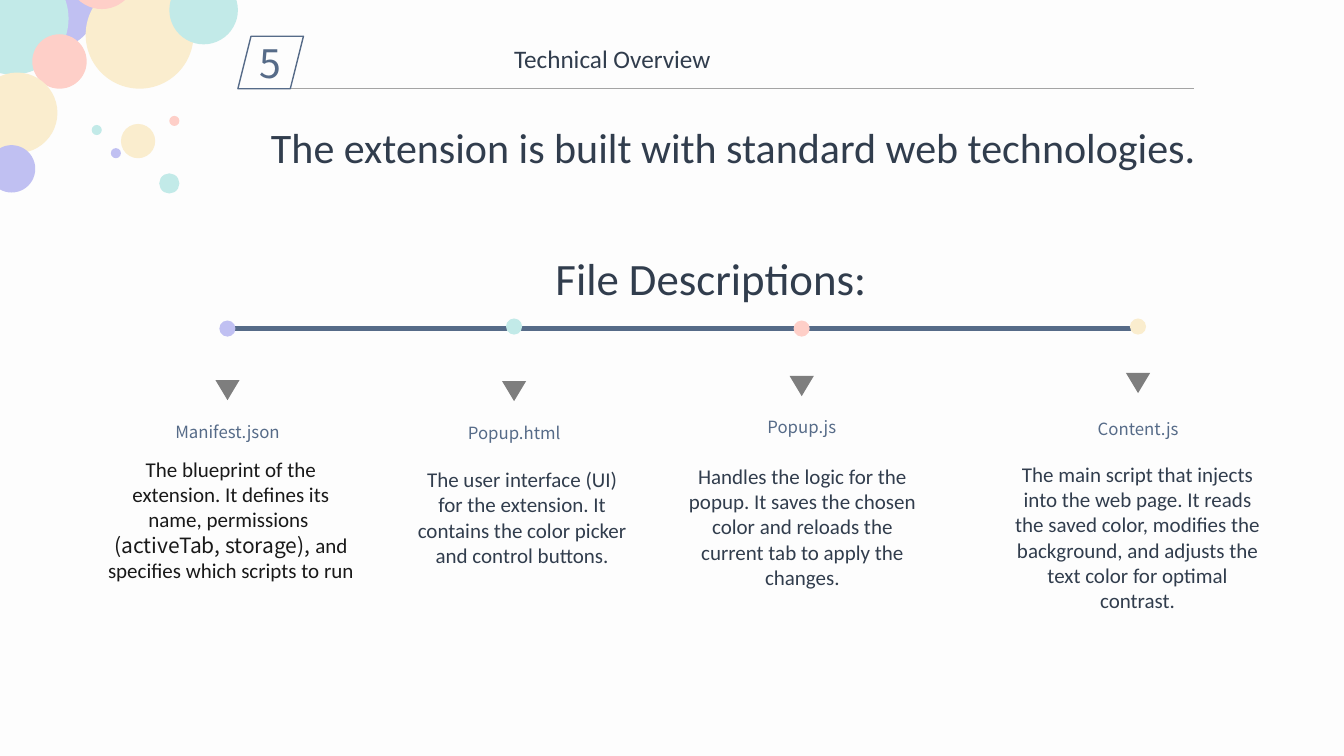
from dataclasses import dataclass

from lxml.etree import SubElement
from pptx import Presentation
from pptx.dml.color import RGBColor
from pptx.enum.shapes import MSO_CONNECTOR, MSO_SHAPE
from pptx.enum.text import MSO_ANCHOR, PP_ALIGN
from pptx.oxml.ns import qn
from pptx.util import Inches, Pt


@dataclass(frozen=True)
class Theme:
    paper: str = "FDFDFD"
    ink: str = "313D4D"
    black: str = "191919"
    slate: str = "566B88"
    rule: str = "A4A4A4"
    arrow: str = "7E7E7E"
    lilac: str = "C0C0F2"
    mint: str = "C2EAE8"
    coral: str = "FECFC8"
    cream: str = "FAEDCE"
    body_font: str = "Calibri"
    label_font: str = "Noto Sans CJK KR"
    label: int = 12
    body: int = 15
    section: int = 18
    number: int = 28
    headline: int = 30
    heading: int = 32


THEME = Theme()
COLUMNS, ROWS = 40, 22.5  # square grid cells
WIDTH, HEIGHT = Inches(13.33), Inches(7.5)


def write(frame, paragraphs, *, size, color=THEME.ink, font=THEME.body_font,
          anchor=MSO_ANCHOR.TOP, wrap=True):
    """Each paragraph is a string or a list of (text, font) runs."""
    frame.word_wrap = wrap
    frame.vertical_anchor = anchor
    for index, runs in enumerate(paragraphs):
        paragraph = frame.add_paragraph() if index else frame.paragraphs[0]
        paragraph.alignment = PP_ALIGN.CENTER
        for text, face in [(runs, font)] if isinstance(runs, str) else runs:
            run = paragraph.add_run()
            run.text = text
            run.font.name = face
            run.font.size = Pt(size)
            run.font.color.rgb = RGBColor.from_string(color)


class SlideBuilder:
    def __init__(self, slide, theme):
        self.slide, self.theme = slide, theme
        background = slide.background.fill
        background.solid()
        background.fore_color.rgb = RGBColor.from_string(theme.paper)

    def place(self, *cells):
        """Turn x, y, x, y... in grid cells into lengths."""
        steps = (WIDTH / COLUMNS, HEIGHT / ROWS)
        return [round(cell * steps[i % 2]) for i, cell in enumerate(cells)]

    def shape(self, kind, x, y, w, h, fill=None, line=None, parent=None):
        owner = parent or self.slide
        shape = owner.shapes.add_shape(kind, *self.place(x, y, w, h))
        shape.shadow.inherit = False
        if fill:
            shape.fill.solid()
            shape.fill.fore_color.rgb = RGBColor.from_string(fill)
        else:
            shape.fill.background()
        if line:
            shape.line.color.rgb = RGBColor.from_string(line)
            shape.line.width = Pt(1)
        else:
            shape.line.fill.background()
        return shape

    def circle(self, x, y, size, fill, parent=None):
        return self.shape(MSO_SHAPE.OVAL, x, y, size, size, fill, parent=parent)

    def rule(self, start, end, y, color, weight):
        line = self.slide.shapes.add_connector(
            MSO_CONNECTOR.STRAIGHT, *self.place(start, y, end, y))
        line.line.color.rgb = RGBColor.from_string(color)
        line.line.width = Pt(weight)
        SubElement(line._element.spPr, qn("a:effectLst"))

    def text(self, x, y, w, h, *paragraphs, **style):
        box = self.slide.shapes.add_textbox(*self.place(x, y, w, h))
        write(box.text_frame, paragraphs, **style)

    def bubbles(self, circles):
        group = self.slide.shapes.add_group_shape()
        for x, y, size, fill in circles:
            self.circle(x, y, size, fill, group)

    def step(self, center, dot_y, dot_color, arrow_y, name_y, name, body, **style):
        theme = self.theme
        self.circle(center - 0.24, dot_y, 0.48, dot_color)
        arrow = self.shape(MSO_SHAPE.ISOSCELES_TRIANGLE, center - 0.36, arrow_y,
                           0.72, 0.6, theme.arrow)
        arrow.rotation = 180
        self.text(center - 2.26, name_y, 4.53, 0.9, name, size=theme.label,
                  color=theme.slate, font=theme.label_font)
        box, paragraphs = body
        self.text(*box, *paragraphs, size=theme.body, **style)


def main():
    deck = Presentation()
    deck.slide_width, deck.slide_height = WIDTH, HEIGHT
    t = THEME
    page = SlideBuilder(deck.slides.add_slide(deck.slide_layouts[6]), t)

    # Corner bubbles: left, top, diameter, colour
    page.bubbles([
        (0.12, -1.32, 2.79, t.lilac), (-1.29, -1.11, 3.33, t.mint),
        (0.96, 1.02, 1.62, t.coral), (-0.69, 2.16, 2.4, t.cream),
        (2.55, -0.57, 3.21, t.cream), (2.01, -1.77, 2.04, t.coral),
        (-0.36, 4.32, 1.41, t.lilac), (3.6, 3.69, 1.02, t.cream),
        (3.3, 4.41, 0.3, t.lilac), (2.73, 3.72, 0.3, t.mint),
        (5.04, 3.45, 0.3, t.coral), (4.74, 5.16, 0.6, t.mint),
        (5.04, -0.72, 2.04, t.mint),
    ])

    # Section header
    page.rule(8.52, 35.55, 2.64, t.rule, 0.5)
    number = page.shape(MSO_SHAPE.PARALLELOGRAM, 7.08, 1.08, 1.95, 1.56, line=t.slate)
    write(number.text_frame, ["5"], size=t.number, color=t.slate,
          font=t.label_font, anchor=MSO_ANCHOR.MIDDLE, wrap=False)
    page.text(10.53, 1.14, 15.39, 1.2, "Technical Overview", size=t.section)

    # Headlines
    page.text(5.85, 3.48, 32.25, 1.83,
              "The extension is built with standard web technologies. ", size=t.headline)
    page.text(5.04, 7.32, 32.25, 1.92, "File Descriptions:", size=t.heading)

    # File timeline
    page.rule(6.75, 33.93, 9.78, t.slate, 3)
    page.step(6.77, 9.54, t.lilac, 11.31, 12.39, "Manifest.json", (
        (2.88, 13.44, 7.98, 4.08),
        ["The blueprint of the extension. It defines its name, permissions ",
         [("(activeTab, storage), ", t.label_font),
          ("and specifies which scripts to run ", t.body_font)]]), color=t.black)
    page.step(15.3, 9.48, t.mint, 11.34, 12.42, "Popup.html", (
        (12.06, 13.74, 6.96, 3.33),
        ["The user interface (UI) for the extension. It contains the color picker "
         "and control buttons."]))
    page.step(23.86, 9.54, t.coral, 11.19, 12.27, "Popup.js", (
        (20.1, 13.65, 7.56, 4.08),
        ["Handles the logic for the popup. It saves the chosen color and reloads "
         "the current tab to apply the changes."]))
    page.step(33.87, 9.48, t.cream, 11.1, 12.33, "Content.js", (
        (29.88, 13.59, 7.95, 4.86),
        ["The main script that injects into the web page. It reads the saved color, "
         "modifies the background, and adjusts the text color for optimal contrast."]))

    deck.save("out.pptx")


if __name__ == "__main__":
    main()
